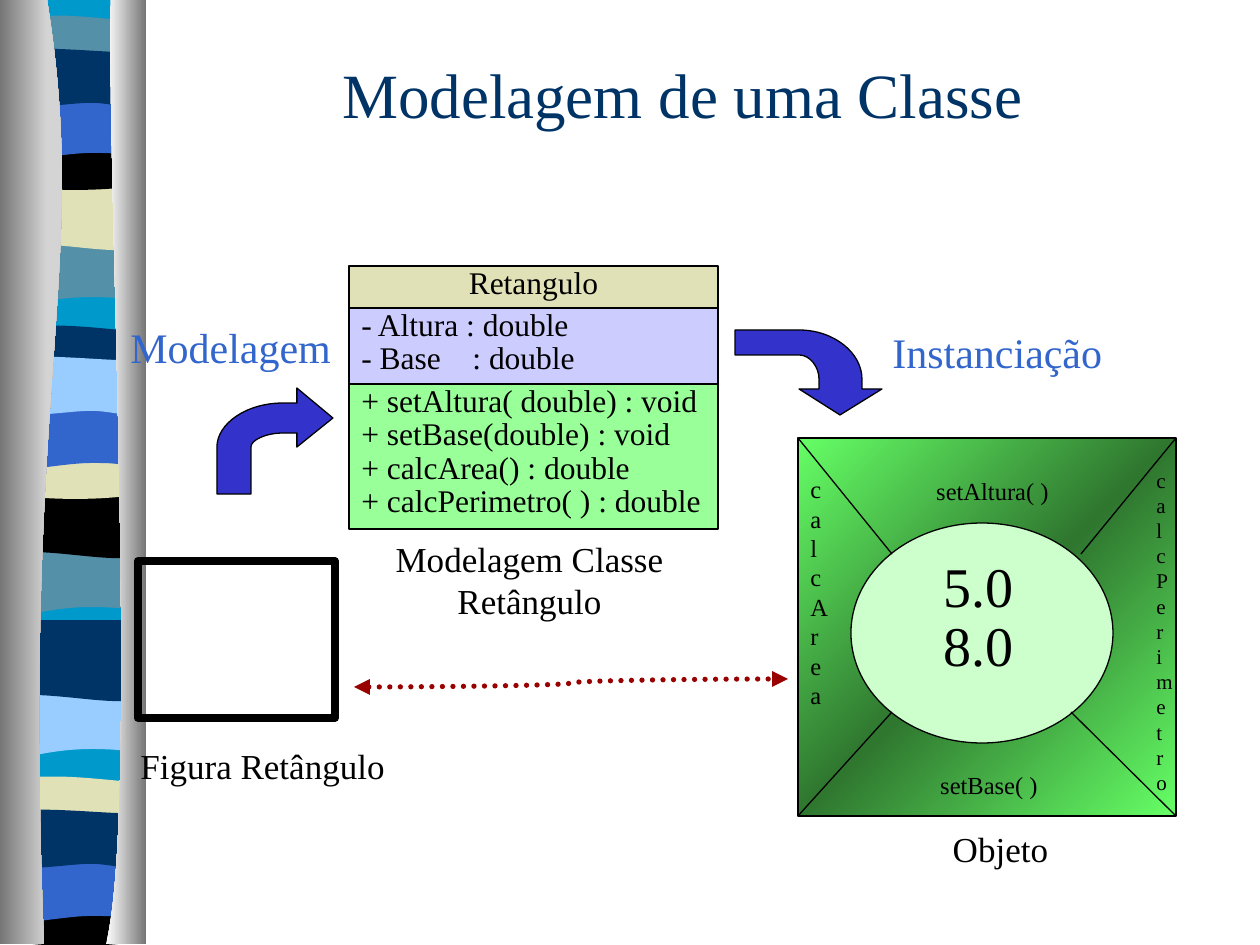
from lxml import etree
from pptx import Presentation
from pptx import util as u
from pptx.dml.color import RGBColor
from pptx.enum import dml, shapes, text
from pptx.oxml import ns

PX = 914400 / 126
THEME = {
    "font": "Times New Roman", "ink": "000000", "title": "003366", "accent": "3366CC",
    "arrow": "3333CC", "link": "990000", "core": "CCFFCC", "sea": "0099CC",
    "left": ["767676", "D4D4D4"], "right": ["FFFFFF", "767676"],
    "object": ["66FF66", "2F762F", "66FF66"],
    "sizes": {"title": 36, "value": 32, "step": 24, "caption": 20, "member": 18,
              "method": 14, "small": 12},
}

# Outlines: a pair is a line to a point, six numbers are a Bezier curve
WAVES = [  # outline, then (top, colour) for each repeat down the ribbon
    ([(143, 0), (143, 59), (49, 49, 30, 69, 6, 59), (6, 0)],
     [(233, "5490A8"), (543, "5490A8"), (685, "99CCFF")]),
    ([(143, 0), (143, 59), (121, 69, 49, 53, 7, 59), (7, 0)],
     [(178, "E1E1B7"), (486, "000000"), (629, "003366")]),
    ([(143, 6), (143, 37), (121, 42, 30, 42, 6, 37), (6, 6),
      (15, 0, 36, 1, 59, 1), (82, 1, 126, 5, 143, 6)],
     [(20, "5490A8"), (330, "003366"), (781, "E1E1B7")]),
    ([(143, 0), (143, 41), (121, 48, 30, 48, 7, 41), (6, 0), (91, 6, 115, 0, 143, 0)],
     [(136, "000000"), (445, "E1E1B7"), (892, "000000")]),
    ([(143, 0), (143, 59), (122, 53, 113, 53, 91, 53), (68, 53, 28, 59, 7, 59), (7, 0)],
     [(93, "3366CC"), (403, "3366CC"), (856, "3366CC")]),
    ([(143, 6), (143, 45), (135, 52, 113, 45, 91, 45), (68, 45, 21, 52, 6, 45),
      (6, 6), (26, 0, 100, 6, 122, 6)],
     [(52, "003366"), (360, "99CCFF"), (813, "003366")]),
]
WAVE_STRETCH = 1.3
RIBBON = [(143, 0), (143, 941), (6, 941), (6, 0)]
LEFT_CURTAIN = [(47, 0), (91, 272, 21, 373, 44, 944), (0, 944), (0, 0)]
RIGHT_CURTAIN = [(111, 0), (106, 158, 140, 814, 106, 944), (146, 944), (146, 0)]
MODEL_ARROW = [(333, 418), (297, 388), (297, 403), (283, 403),
               (246, 403, 217, 424, 217, 447), (217, 494), (251, 494), (251, 447),
               (251, 440, 266, 433, 283, 433), (297, 433), (297, 447)]
INSTANCE_ARROW = [(840, 415), (882, 389), (862, 389), (862, 379),
                  (862, 353, 834, 330, 799, 330), (735, 330), (735, 355), (799, 355),
                  (810, 355, 819, 367, 819, 379), (819, 389), (799, 389)]

TITLE = ("Modelagem de uma Classe", (147, 49, 1071, 108))
CLASS_LEFT, CLASS_TOP, CLASS_WIDTH = 349, 266, 369
CLASS_ROWS = [  # height, fill, centred, lines
    (42, "E1E1B7", True, ["Retangulo"]),
    (76, "CCCCFF", False, ["- Altura : double", "- Base\t: double"]),
    (145, "99FF99", False, ["+ setAltura( double) : void", "+ setBase(double) : void",
                            "+ calcArea() : double", "+ calcPerimetro( ) : double"]),
]
BASE_TAB = 111
OBJECT = (798, 438, 378, 378)
CORE = (851, 523, 262, 220)
VALUES = (["5.0", "8.0"], (884, 561, 189, 125))
SPOKES = [((798, 438), (892, 554)), ((798, 816), (892, 712)),
          ((1176, 816), (1071, 712)), ((1176, 438), (1081, 554))]
LABELS = [  # text, place, size, colour, centred
    ("setAltura( )", (893, 470, 199, 43), "method", "ink", True),
    ("setBase( )", (879, 764, 220, 43), "method", "ink", True),
    ("calcArea", (798, 468, 32, 251), "method", "ink", False),
    ("calcPerimetro", (1144, 461, 32, 344), "small", "ink", False),
    ("Objeto", (838, 821, 325, 55), "caption", "ink", True),
    ("Modelagem Classe Retângulo", (345, 531, 369, 97), "caption", "ink", True),
    ("Figura Retângulo", (128, 738, 295, 55), "caption", "ink", False),
    ("Modelagem", (118, 315, 237, 63), "step", "accent", False),
    ("Instanciação", (880, 320, 252, 63), "step", "accent", False),
]
FIGURE = (138, 561, 197, 157)
LINK = ((354, 687), (788, 679))


def emu(*lengths):
    return [round(length * PX) for length in lengths]


def rgb(name):
    return RGBColor.from_string(THEME.get(name, name))


def paint(shape, fill=None, line=None, width=0.75, angle=0):
    """Fill with nothing, a colour, or a list of evenly spaced gradient colours."""
    shape.shadow.inherit = False
    if isinstance(fill, list):
        shape.fill.gradient()
        shape.fill.gradient_angle = angle
        stops = shape.fill._fill._gradFill.find(ns.qn("a:gsLst"))
        for stop in list(stops):
            stops.remove(stop)
        for index, colour in enumerate(fill):
            stop = etree.SubElement(stops, ns.qn("a:gs"),
                                    pos=str(100000 * index // (len(fill) - 1)))
            etree.SubElement(stop, ns.qn("a:srgbClr"), val=colour)
    elif fill:
        shape.fill.solid()
        shape.fill.fore_color.rgb = rgb(fill)
    else:
        shape.fill.background()
    if line:
        shape.line.color.rgb = rgb(line)
        shape.line.width = u.Pt(width)
    else:
        shape.line.fill.background()
    return shape


def outline(parent, steps, fill, top=0, line=None, stretch=1):
    """Draw a closed outline, stretched in height about its middle."""
    heights = [step[-1] for step in steps]
    middle = (min(heights) + max(heights)) / 2
    steps = [emu(*(n if i % 2 == 0 else top + middle + (n - middle) * stretch
                   for i, n in enumerate(step))) for step in steps]
    builder = parent.build_freeform(*steps[0], scale=1.0)
    builder.add_line_segments([step[-2:] for step in steps[1:]], close=True)
    shape = builder.convert_to_shape()
    for step, segment in zip(steps[1:], shape.element.findall(".//" + ns.qn("a:lnTo"))):
        if len(step) == 6:
            curve = etree.Element(ns.qn("a:cubicBezTo"))
            for x, y in zip(step[::2], step[1::2]):
                etree.SubElement(curve, ns.qn("a:pt"),
                                 x=str(x - shape.left), y=str(y - shape.top))
            segment.getparent().replace(segment, curve)
    return paint(shape, fill, line)


def write(box, lines, size, colour="ink", centred=False, tight=False):
    frame = box.text_frame
    frame.word_wrap = True
    frame.auto_size = text.MSO_AUTO_SIZE.NONE
    frame.vertical_anchor = text.MSO_ANCHOR.TOP
    points = THEME["sizes"][size]
    for index, line in enumerate(lines):
        para = frame.paragraphs[0] if index == 0 else frame.add_paragraph()
        para.alignment = text.PP_ALIGN.CENTER if centred else text.PP_ALIGN.LEFT
        if tight:
            para.line_spacing = 0.75
            para.space_before = u.Pt(round(points * 0.15, 1))
        span = para.add_run()
        span.text = line
        span.font.name, span.font.size = THEME["font"], u.Pt(points)
        span.font.color.rgb = rgb(colour)
        if "\t" in line:
            tabs = etree.SubElement(para._p.get_or_add_pPr(), ns.qn("a:tabLst"))
            etree.SubElement(tabs, ns.qn("a:tab"), pos=str(emu(BASE_TAB)[0]), algn="l")


def connect(page, kind, start, end, colour="ink", width=0.75):
    line = page.shapes.add_connector(kind, *emu(*start, *end))
    line.line.color.rgb = rgb(colour)
    line.line.width = u.Pt(width)
    etree.SubElement(line.element.spPr, ns.qn("a:effectLst"))
    return line


def block(page, kind, place, **look):
    return paint(page.shapes.add_shape(kind, *emu(*place)), **look)


def main():
    deck = Presentation()
    deck.slide_width, deck.slide_height = u.Inches(10), u.Inches(7.5)
    page = deck.slides.add_slide(deck.slide_layouts[5])
    rectangle = shapes.MSO_SHAPE.RECTANGLE

    # Ribbon between two curtains, kept on the master
    border = page.shapes.add_group_shape()
    outline(border.shapes, RIBBON, "sea")
    for period in range(3):
        for steps, repeats in WAVES:
            top, colour = repeats[period]
            outline(border.shapes, steps, colour, top, stretch=WAVE_STRETCH)
    outline(border.shapes, LEFT_CURTAIN, THEME["left"])
    outline(border.shapes, RIGHT_CURTAIN, THEME["right"])
    deck.slide_master.shapes.element.append(border.element)

    # Title
    title = page.shapes.title
    title.left, title.top, title.width, title.height = emu(*TITLE[1])
    write(title, [TITLE[0]], "title", "title", centred=True)

    # Object with its methods around the values
    block(page, rectangle, OBJECT, fill=THEME["object"], line="ink", angle=315)
    block(page, shapes.MSO_SHAPE.OVAL, CORE, fill="core", line="ink")
    values = block(page, rectangle, VALUES[1], fill="core")
    write(values, VALUES[0], "value", centred=True, tight=True)
    for start, end in SPOKES:
        connect(page, shapes.MSO_CONNECTOR.STRAIGHT, start, end)

    # Class diagram
    top = CLASS_TOP
    for height, fill, centred, lines in CLASS_ROWS:
        row = block(page, rectangle, (CLASS_LEFT, top, CLASS_WIDTH, height),
                    fill=fill, line="ink")
        write(row, lines, "member", centred=centred, tight=True)
        top += height

    # Step arrows, figure and the link to its object
    for steps in (MODEL_ARROW, INSTANCE_ARROW):
        outline(page.shapes, steps, "arrow", line="ink")
    block(page, rectangle, FIGURE, line="ink", width=4.5)
    link = connect(page, shapes.MSO_CONNECTOR.CURVE, *LINK, colour="link", width=3)
    link.line.dash_style = dml.MSO_LINE.ROUND_DOT
    stroke = link.line._get_or_add_ln()
    stroke.set("cap", "rnd")
    for end in ("a:headEnd", "a:tailEnd"):
        etree.SubElement(stroke, ns.qn(end), type="triangle")

    # Labels
    for words, place, size, colour, centred in LABELS:
        write(page.shapes.add_textbox(*emu(*place)), [words], size, colour, centred)

    deck.save("out.pptx")


if __name__ == "__main__":
    main()
